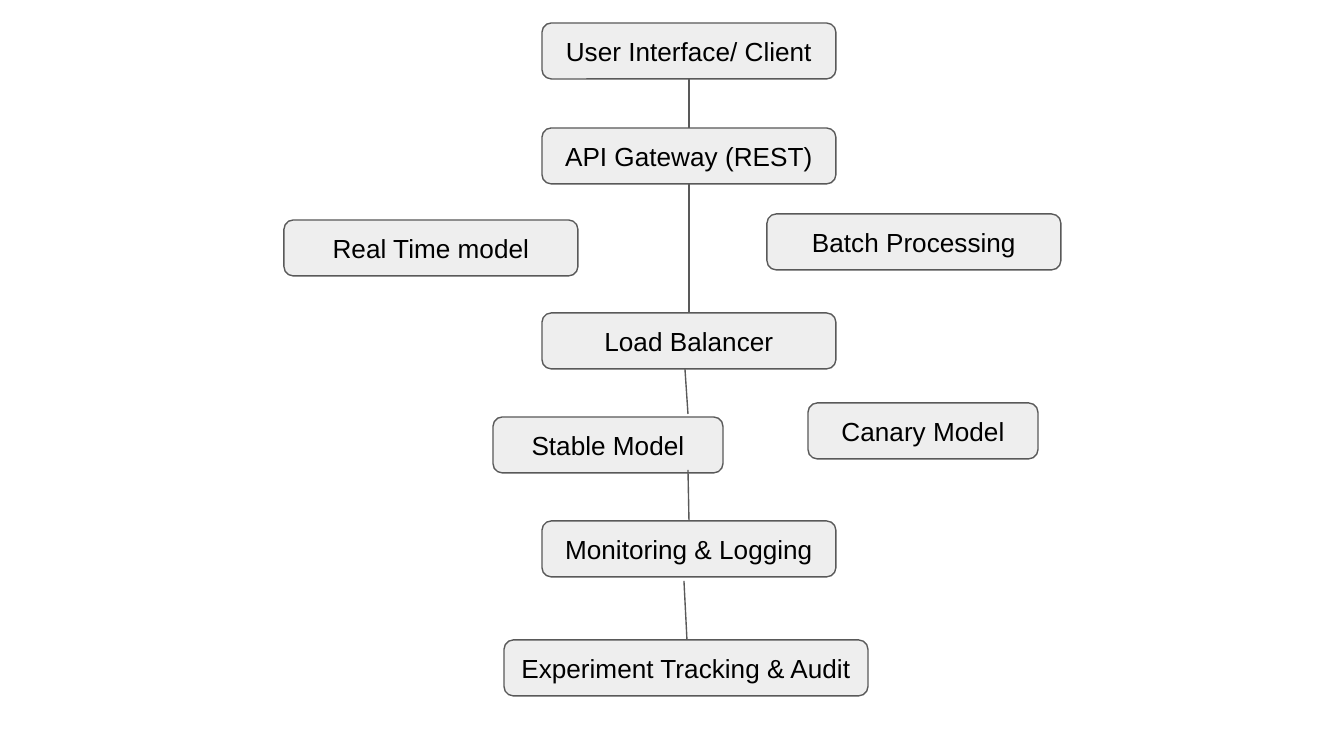
"""Build a slide with the architecture flow of a model-serving system."""
from dataclasses import dataclass

from lxml.etree import SubElement
from pptx import Presentation
from pptx.dml.color import RGBColor
from pptx.enum.shapes import MSO_CONNECTOR, MSO_SHAPE
from pptx.enum.text import MSO_ANCHOR, PP_ALIGN
from pptx.oxml.ns import qn
from pptx.slide import Slide
from pptx.util import Emu, Pt

EMU_PER_PX = 914400 / 134.4
COLORS = {"box": "EEEEEE", "line": "595959", "text": "000000"}
FONT = "Arial"
BOX_H = 56
INSET = 13
WIDE, NARROW, WIDEST = 294, 230, 364
MAIN_X = 542
AXIS_X = MAIN_X + WIDE // 2


@dataclass(frozen=True)
class Box:
    label: str
    x: int
    y: int
    w: int = WIDE


@dataclass(frozen=True)
class Link:
    x1: int
    y1: int
    x2: int
    y2: int


CLIENT = Box("User Interface/ Client", MAIN_X, 23)
GATEWAY = Box("API Gateway (REST)", MAIN_X, 128)
REAL_TIME = Box("Real Time model", 284, 220)
BATCH = Box("Batch Processing", 767, 214)
BALANCER = Box("Load Balancer", MAIN_X, 313)
STABLE = Box("Stable Model", 493, 417, NARROW)
CANARY = Box("Canary Model", 808, 403, NARROW)
MONITORING = Box("Monitoring & Logging", MAIN_X, 521)
TRACKING = Box("Experiment Tracking & Audit", 504, 640, WIDEST)

BOXES = [CLIENT, GATEWAY, REAL_TIME, BATCH, BALANCER, STABLE, CANARY, MONITORING, TRACKING]
LINKS = [
    Link(AXIS_X, GATEWAY.y + BOX_H, AXIS_X, BALANCER.y),
    Link(685, BALANCER.y + BOX_H, 688, 414),
    Link(688, 470, AXIS_X, MONITORING.y),
    Link(684, 581, 687, TRACKING.y),
    Link(AXIS_X, CLIENT.y + BOX_H, AXIS_X, GATEWAY.y),
]


def px(n: int) -> Emu:
    return Emu(round(n * EMU_PER_PX))


def color(name: str) -> RGBColor:
    return RGBColor.from_string(COLORS[name])


def draw_box(s: Slide, box: Box) -> None:
    sp = s.shapes.add_shape(
        MSO_SHAPE.ROUNDED_RECTANGLE, px(box.x), px(box.y), px(box.w), px(BOX_H)
    )
    sp.shadow.inherit = False
    sp.fill.solid()
    sp.fill.fore_color.rgb = color("box")
    sp.line.color.rgb = color("line")
    sp.line.width = Pt(0.75)
    tf = sp.text_frame
    tf.word_wrap = True
    tf.vertical_anchor = MSO_ANCHOR.MIDDLE
    tf.margin_left = tf.margin_right = tf.margin_top = tf.margin_bottom = px(INSET)
    p = tf.paragraphs[0]
    p.alignment = PP_ALIGN.CENTER
    r = p.add_run()
    r.text = box.label
    r.font.name = FONT
    r.font.size = Pt(14)
    r.font.color.rgb = color("text")


def draw_link(s: Slide, link: Link) -> None:
    sp = s.shapes.add_connector(
        MSO_CONNECTOR.STRAIGHT, px(link.x1), px(link.y1), px(link.x2), px(link.y2)
    )
    sp.line.color.rgb = color("line")
    sp.line.width = Pt(0.75)
    SubElement(sp.element.spPr, qn("a:effectLst"))


def main() -> None:
    prs = Presentation()
    prs.slide_width, prs.slide_height = px(1344), px(756)
    s = prs.slides.add_slide(prs.slide_layouts[6])
    for box in BOXES:
        draw_box(s, box)
    for link in LINKS:
        draw_link(s, link)
    prs.save("out.pptx")


if __name__ == "__main__":
    main()
